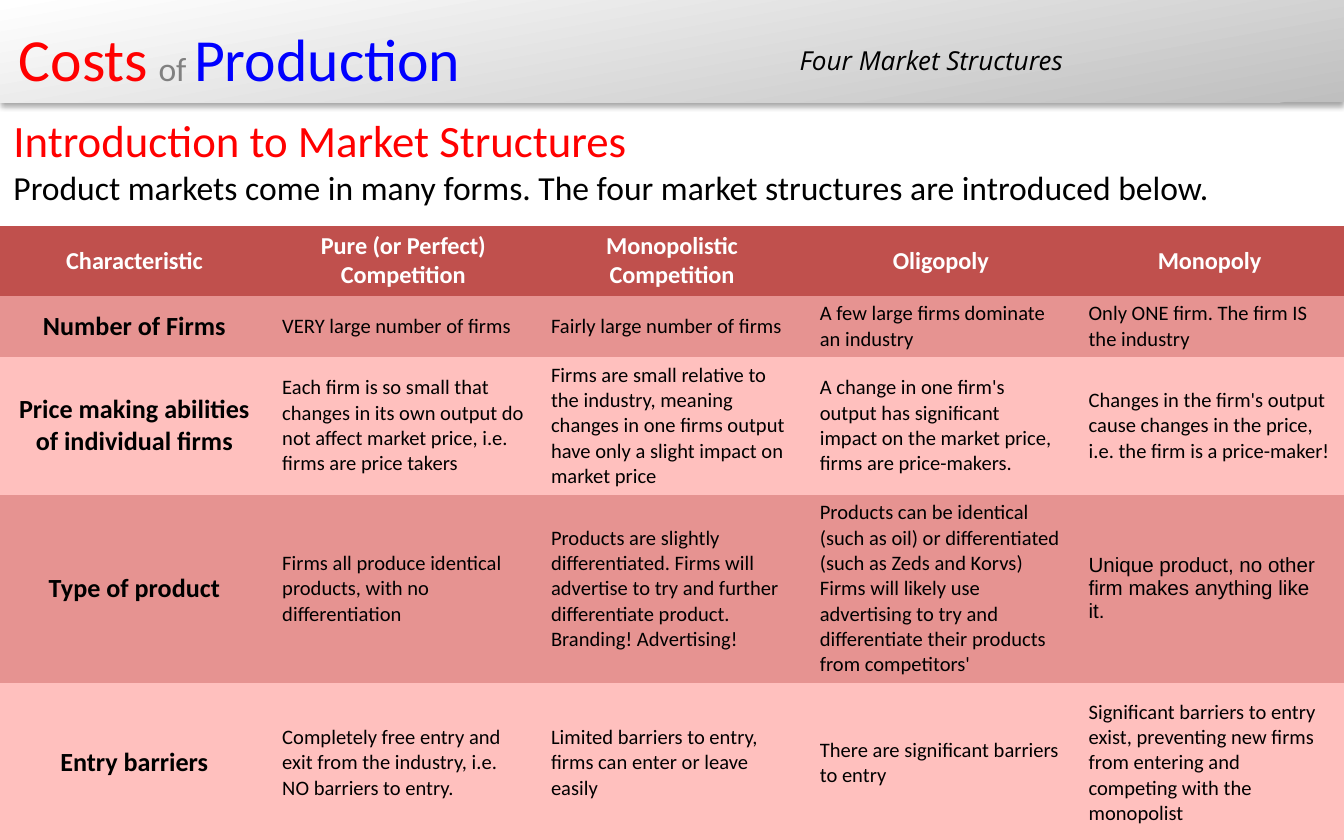
from lxml.etree import SubElement
from pptx import Presentation
from pptx.dml.color import RGBColor
from pptx.enum.shapes import MSO_SHAPE
from pptx.enum.text import MSO_ANCHOR, MSO_AUTO_SIZE, PP_ALIGN
from pptx.oxml.ns import qn
from pptx.util import Inches, Pt

RED, BLUE, GREY, BLACK, WHITE = "FF0000", "0000FF", "808080", "000000", "FFFFFF"
HEAD, DARK, LIGHT = "C0504D", "E69391", "FFC0BE"
NO_GRID_STYLE = "{2D5ABB26-0587-4C30-8999-92F81FD0307C}"

TITLE = [[("Costs", dict(size=32, color=RED)), (" ", dict(size=24, color=RED)),
          ("of ", dict(size=18, color=GREY)),
          ("Production", dict(size=32, color=BLUE))]]
TOPIC = [[("Four Market Structures", dict(size=14, name="Open Sans", italic=True))]]
INTRO = [
    [("Introduction to Market Structures", dict(size=24, color=RED))],
    [("Product markets come in many forms. The four market structures are "
      "introduced below.", dict(size=18))],
]
ROWS = [  # a line break in a cell starts a new paragraph
    ["Characteristic", "Pure (or Perfect)\nCompetition", "Monopolistic Competition",
     "Oligopoly", "Monopoly"],
    ["Number of Firms", "VERY large number of firms", "Fairly large number of firms",
     "A few large firms dominate an industry", "Only ONE firm. The firm IS the industry"],
    ["Price making abilities of individual firms",
     "Each firm is so small that changes in its own output do not affect market price, "
     "i.e. firms are price takers",
     "Firms are small relative to the industry, meaning changes in one firms output "
     "have only a slight impact on market price",
     "A change in one firm's output has significant impact on the market price, "
     "firms are price-makers.",
     "Changes in the firm's output cause changes in the price, i.e. the firm is a "
     "price-maker!"],
    ["Type of product",
     "Firms all produce identical products, with no differentiation",
     "Products are slightly differentiated. Firms will advertise to try and further "
     "differentiate product. Branding! Advertising!",
     "Products can be identical (such as oil) or differentiated (such as Zeds and Korvs)\n"
     "Firms will likely use advertising to try and differentiate their products from "
     "competitors'",
     "Unique product, no other firm makes anything like it."],
    ["Entry barriers",
     "Completely free entry and exit from the industry, i.e. NO barriers to entry.",
     "Limited barriers to entry, firms can enter or leave easily",
     "There are significant barriers to entry",
     "Significant barriers to entry exist, preventing new firms from entering and "
     "competing with the monopolist"],
]
ROW_HEIGHTS = [0.45, 0.39, 0.87, 1.19, 1.19]
ARIAL_CELL = (3, 4)


def rgb(value):
    return RGBColor.from_string(value)


def box(*lengths):
    return [Inches(v) for v in lengths]


def write(tf, paragraphs, align=PP_ALIGN.LEFT):
    """Fill a text frame with paragraphs, each a list of (text, font format)."""
    tf.word_wrap = True
    for i, runs in enumerate(paragraphs):
        p = tf.add_paragraph() if i else tf.paragraphs[0]
        p.alignment = align
        for text, changes in runs:
            fmt = dict(name="Calibri", color=BLACK) | changes
            r = p.add_run()
            r.text = text
            r.font.color.rgb = rgb(fmt.pop("color"))
            r.font.size = Pt(fmt.pop("size"))
            for key, value in fmt.items():
                setattr(r.font, key, value)


def place(sp, *lengths):
    sp.left, sp.top, sp.width, sp.height = box(*lengths)
    sp.text_frame.vertical_anchor = MSO_ANCHOR.TOP
    sp.text_frame.auto_size = MSO_AUTO_SIZE.NONE


def add_band(s):
    sp = s.shapes.add_shape(MSO_SHAPE.RECTANGLE, *box(0, 0, 10, 0.76))
    sp.line.fill.background()
    sp.fill.gradient()
    sp.fill.gradient_angle = 100
    for stop, color, position in zip(sp.fill.gradient_stops, ("BFBFBF", WHITE), (0, 1)):
        stop.color.rgb = rgb(color)
        stop.position = position
    sp.shadow.inherit = False
    effects = sp._element.spPr.find(qn("a:effectLst"))
    shadow = SubElement(effects, qn("a:outerShdw"), blurRad=str(Pt(3.1)),
                        dist=str(Pt(1.8)), dir="5400000", rotWithShape="0")
    color = SubElement(shadow, qn("a:srgbClr"), val=BLACK)
    SubElement(color, qn("a:alpha"), val="35000")
    s.shapes._spTree.insert(2, sp._element)  # behind the title


def add_structures_table(s):
    table = s.shapes.add_table(len(ROWS), len(ROWS[0]), *box(0, 1.68, 10, 4.09)).table
    table._tbl.tblPr.find(qn("a:tableStyleId")).text = NO_GRID_STYLE
    table.horz_banding = False
    for i, (texts, height) in enumerate(zip(ROWS, ROW_HEIGHTS)):
        table.rows[i].height = Inches(height)
        for j, text in enumerate(texts):
            if i == 0:
                fmt = dict(size=13, bold=True, color=WHITE)
            elif j == 0:
                fmt = dict(size=14, bold=True)
            else:
                fmt = dict(size=11, bold=False)
            if (i, j) == ARIAL_CELL:
                fmt["name"] = "Arial"
            cell = table.cell(i, j)
            cell.fill.solid()
            cell.fill.fore_color.rgb = rgb(HEAD if i == 0 else DARK if i % 2 else LIGHT)
            cell.vertical_anchor = MSO_ANCHOR.MIDDLE
            cell.margin_top = cell.margin_bottom = Inches(0.04)
            write(cell.text_frame, [[(line, fmt)] for line in text.split("\n")],
                  PP_ALIGN.LEFT if i and j else PP_ALIGN.CENTER)


def main():
    prs = Presentation()
    prs.slide_width, prs.slide_height = box(10, 6.25)
    s = prs.slides.add_slide(prs.slide_layouts[1])
    add_band(s)

    title, intro = s.shapes.title, s.placeholders[1]
    place(title, 0.04, 0.11, 7.64, 0.54)
    write(title.text_frame, TITLE)
    add_structures_table(s)

    place(intro, 0, 0.79, 10, 0.81)
    write(intro.text_frame, INTRO)
    for p in intro.text_frame.paragraphs:
        p.space_before = Pt(0)
        pPr = p._p.get_or_add_pPr()
        pPr.set("marL", "0")
        pPr.set("indent", "0")
        SubElement(pPr, qn("a:buNone"))

    topic = s.shapes.add_textbox(*box(5.36, 0.28, 3.14, 0.34))
    write(topic.text_frame, TOPIC, PP_ALIGN.CENTER)
    prs.save("out.pptx")


if __name__ == "__main__":
    main()
